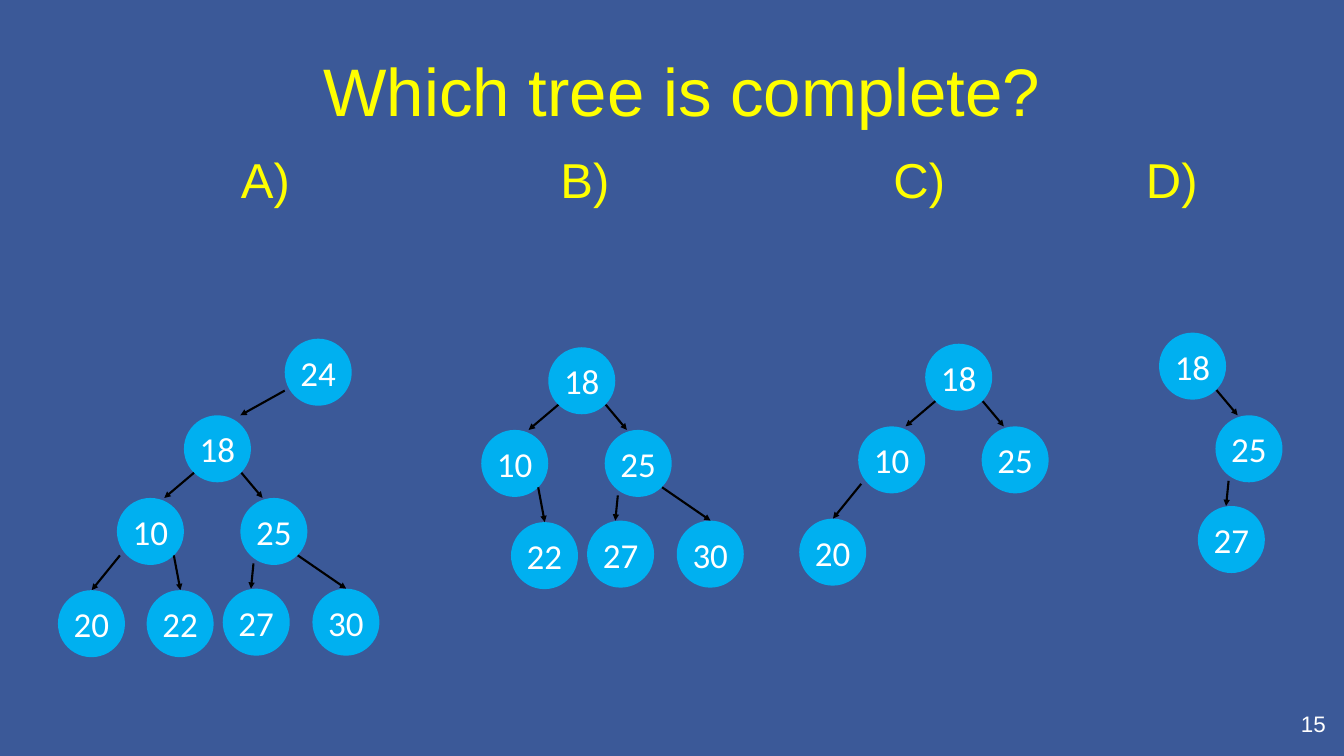
from lxml import etree
from pptx import Presentation
from pptx.dml.color import RGBColor
from pptx.enum.shapes import MSO_CONNECTOR, MSO_SHAPE
from pptx.enum.text import MSO_ANCHOR, MSO_AUTO_SIZE, PP_ALIGN
from pptx.oxml.ns import qn
from pptx.util import Inches, Pt

OVAL = MSO_SHAPE.OVAL
STRAIGHT = MSO_CONNECTOR.STRAIGHT
MIDDLE, TOP = MSO_ANCHOR.MIDDLE, MSO_ANCHOR.TOP
LEFT, CENTER, RIGHT = PP_ALIGN.LEFT, PP_ALIGN.CENTER, PP_ALIGN.RIGHT
NO_AUTOFIT = MSO_AUTO_SIZE.NONE

NAVY = RGBColor(0x3B, 0x59, 0x98)
YELLOW = RGBColor(0xFF, 0xFF, 0x00)
SKY = RGBColor(0x00, 0xB0, 0xF0)
WHITE = RGBColor(0xFF, 0xFF, 0xFF)
BLACK = RGBColor(0x00, 0x00, 0x00)

TITLE = "Which tree is complete?"
ANSWERS = [("A)", 4.58), ("B)", 10.92), ("C)", 17.53), ("D)", 22.54)]
PAGE_NUMBER = "15"
NODE_SIZE = 1.33

# Offsets below are measured from the top left of each tree's node 18.
NODES = {
    "24": (2, -1.52),
    "18": (0, 0),
    "10": (-1.33, 1.64),
    "25": (1.12, 1.64),
    "20": (-2.5, 3.47),
    "22": (-0.74, 3.47),
    "27": (0.77, 3.44),
    "30": (2.55, 3.44),
}
EDGES = {
    ("24", "18"): ((2, -0.49), (1.12, 0)),
    ("18", "10"): ((0.2, 1.14), (-0.39, 1.64)),
    ("18", "25"): ((1.14, 1.14), (1.56, 1.64)),
    ("10", "20"): ((-1.27, 2.78), (-1.83, 3.47)),
    ("10", "22"): ((-0.2, 2.78), (-0.07, 3.47)),
    ("25", "27"): ((1.38, 2.94), (1.33, 3.44)),
    ("25", "30"): ((2.26, 2.78), (3.22, 3.44)),
}
TREES = [
    ((3.65, 8.24), ["24", "18", "10", "25", "20", "22", "27", "30"]),
    ((10.88, 6.89), ["18", "10", "25", "22", "27", "30"]),
    ((18.36, 6.82), ["18", "10", "25", "20"]),
    ((23, 6.6), ["18", "25", "27"]),
]


def write(paragraph, text, *, size, font="Arial", color=WHITE, align=CENTER):
    paragraph.alignment = align
    run = paragraph.add_run()
    run.text = text
    run.font.size = Pt(size)
    run.font.name = font
    run.font.color.rgb = color


def set_frame(frame, inset, anchor):
    frame.word_wrap = True
    frame.auto_size = NO_AUTOFIT
    frame.vertical_anchor = anchor
    frame.margin_left = frame.margin_right = Inches(inset)
    frame.margin_top = frame.margin_bottom = Inches(inset)


def add_title(slide):
    title = slide.shapes.title
    title.left, title.top = Inches(0.2), Inches(1.24)
    title.width, title.height = Inches(26.67), Inches(2.5)
    frame = title.text_frame
    set_frame(frame, 0, MIDDLE)
    frame.margin_top = Inches(0.12)
    write(frame.paragraphs[0], TITLE, size=96, color=YELLOW)

    answers = frame.add_paragraph()
    answers.space_before = Pt(28)
    line = "".join("\t" + label for label, _ in ANSWERS)
    write(answers, line, size=70, color=YELLOW, align=LEFT)
    tabs = etree.SubElement(answers._p.get_or_add_pPr(), qn("a:tabLst"))
    for _, position in ANSWERS:
        etree.SubElement(tabs, qn("a:tab"), pos=str(Inches(position)), algn="l")


def add_node(slide, label, left, top):
    node = slide.shapes.add_shape(
        OVAL, Inches(left), Inches(top), Inches(NODE_SIZE), Inches(NODE_SIZE))
    node.shadow.inherit = False
    node.fill.solid()
    node.fill.fore_color.rgb = SKY
    node.line.fill.background()
    set_frame(node.text_frame, 0.08, MIDDLE)
    write(node.text_frame.paragraphs[0], label, size=50, font="Calibri")


def add_arrow(slide, start, end):
    arrow = slide.shapes.add_connector(
        STRAIGHT, *(Inches(value) for value in (*start, *end)))
    arrow.line.color.rgb = BLACK
    arrow.line.width = Pt(3)
    etree.SubElement(arrow.line._get_or_add_ln(), qn("a:tailEnd"), type="triangle")
    etree.SubElement(arrow._element.spPr, qn("a:effectLst"))


def add_tree(slide, root, labels):
    def place(offset):
        return root[0] + offset[0], root[1] + offset[1]

    for label in labels:
        add_node(slide, label, *place(NODES[label]))
    for (parent, child), (start, end) in EDGES.items():
        if parent in labels and child in labels:
            add_arrow(slide, place(start), place(end))


def main():
    presentation = Presentation()
    presentation.slide_width = Inches(26.67)
    presentation.slide_height = Inches(15)
    slide = presentation.slides.add_slide(presentation.slide_layouts[5])
    slide.background.fill.solid()
    slide.background.fill.fore_color.rgb = NAVY

    add_title(slide)
    for root, labels in TREES:
        add_tree(slide, root, labels)

    number = slide.shapes.add_textbox(
        Inches(24.95), Inches(13.85), Inches(1.6), Inches(1.15))
    set_frame(number.text_frame, 0.24, TOP)
    write(number.text_frame.paragraphs[0], PAGE_NUMBER, size=32, align=RIGHT)
    presentation.save("out.pptx")


if __name__ == "__main__":
    main()
